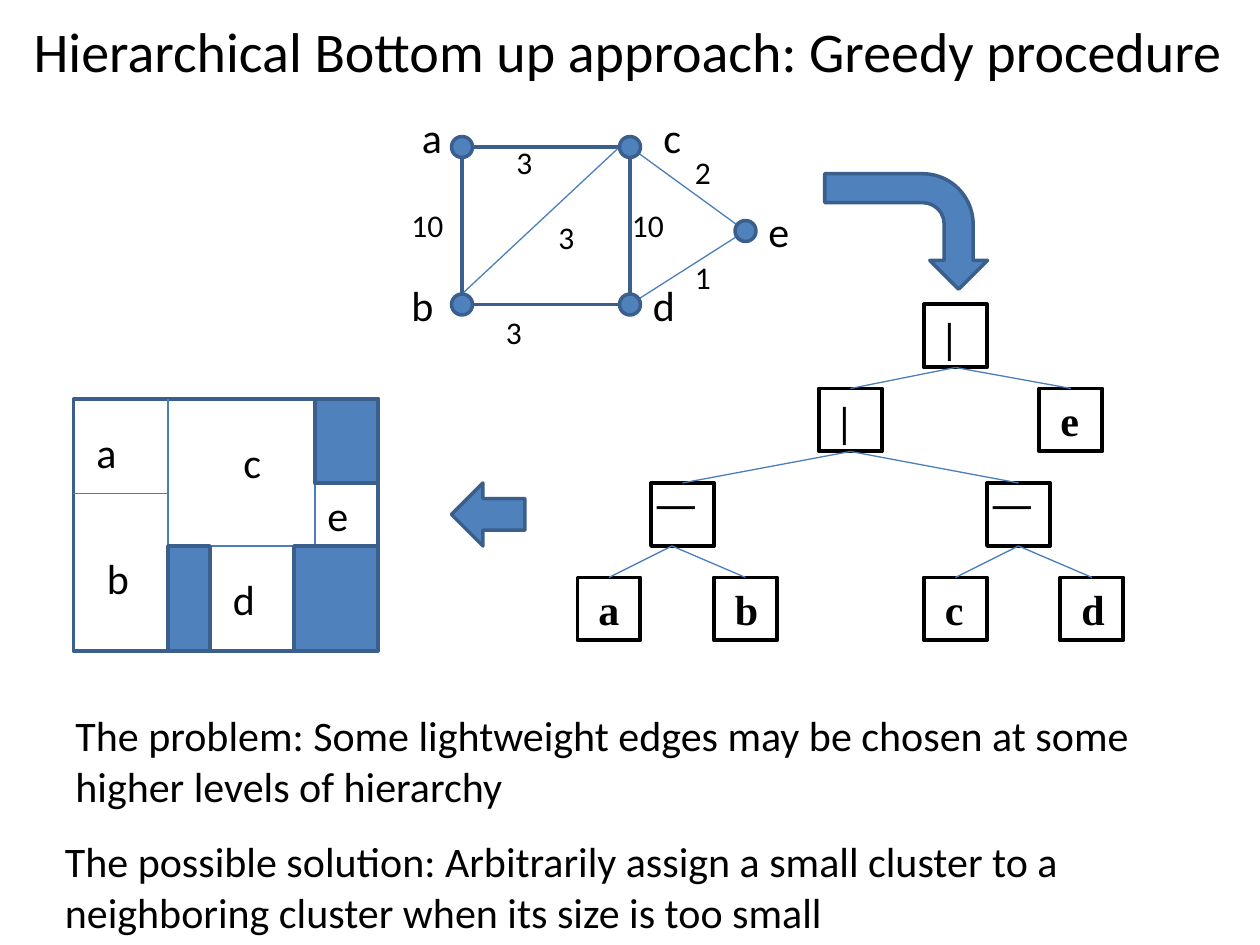
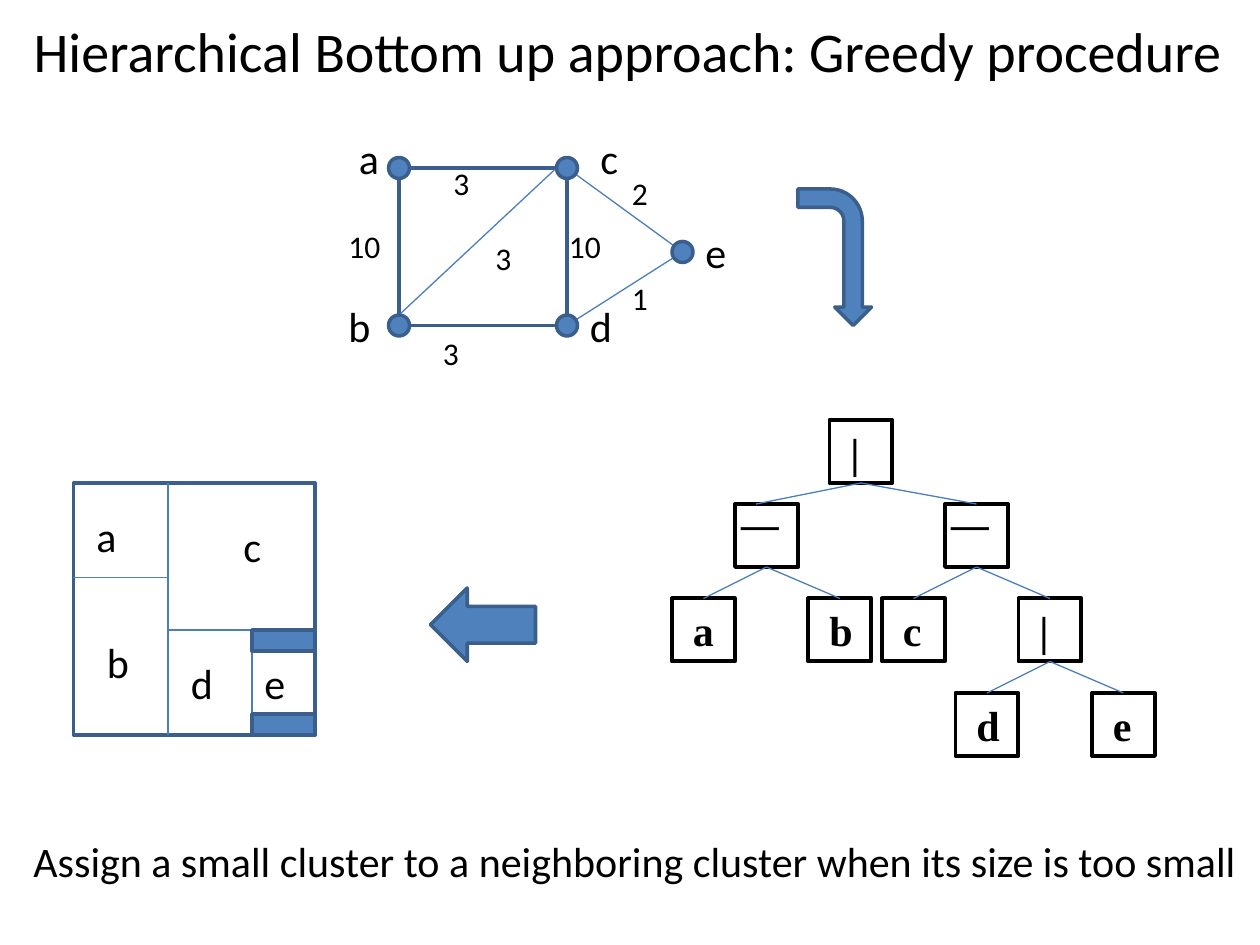
from dataclasses import dataclass

from lxml import etree
from pptx import Presentation
from pptx.dml.color import RGBColor
from pptx.enum.shapes import MSO_CONNECTOR, MSO_SHAPE
from pptx.enum.text import MSO_ANCHOR, MSO_AUTO_SIZE, PP_ALIGN
from pptx.oxml.ns import qn
from pptx.util import Cm, Pt

RECTANGLE = MSO_SHAPE.RECTANGLE
OVAL = MSO_SHAPE.OVAL
BENT_ARROW = MSO_SHAPE.BENT_ARROW
LEFT_ARROW = MSO_SHAPE.LEFT_ARROW
STRAIGHT = MSO_CONNECTOR.STRAIGHT
LEFT = PP_ALIGN.LEFT
TOP = MSO_ANCHOR.TOP
NO_AUTOFIT = MSO_AUTO_SIZE.NONE

COLORS = {"text": "000000", "fill": "4F81BD", "outline": "3A5F8C", "link": "4B7EBC"}
FORMATS = {
    "title": {"name": "Calibri", "size": Pt(32), "bold": False},
    "body": {"name": "Calibri", "size": Pt(24), "bold": False},
    "weight": {"name": "Calibri", "size": Pt(18), "bold": False},
    "tree": {"name": "Times New Roman", "size": Pt(24), "bold": True},
}

# All coordinates count grid steps, twelve to the inch.
GRID_CM = 2.54 / 12
TITLE = "Hierarchical Bottom up approach: Greedy procedure"
TITLE_BOX = (2, 1, 116, 7.7)
BOX = 6  # side of a tree box and of a letter label
VERTICAL, HORIZONTAL = "vertical cut", "horizontal cut"

# Graph parts, relative to vertex a
GRAPH_WIDTH, GRAPH_HEIGHT = 16, 15
VERTICES = [(0, 0), (16, 0), (0, 15), (16, 15), (27, 8)]
THIN_EDGES = [(16, 0, 27, 8), (27, 8, 16, 15), (0, 14, 15, 0)]
VERTEX_LABELS = [("a", -5, -4), ("c", 18, -4), ("b", -6, 12), ("d", 17, 12), ("e", 28, 5)]
EDGE_WEIGHTS = [("10", -6, 5), ("3", 8, 6.2), ("10", 15, 5), ("3", 4, -1),
                ("3", 3, 15.2), ("2", 21, 0), ("1", 21, 10)]


@dataclass
class TreeNode:
    label: str
    left: float
    top: float
    parent: int | None = None
    stem_shift: float = 0    # moves the start of the links to the children
    socket_shift: float = 0  # moves the end of the link from the parent


@dataclass
class Floorplan:
    outline: tuple
    cuts: list
    empty_areas: list
    labels: list


@dataclass
class Arrow:
    kind: MSO_SHAPE
    box: tuple
    rotation: int = 0


@dataclass
class Caption:
    text: str
    box: tuple


@dataclass
class Example:
    graph_origin: tuple
    tree: list
    floorplan: Floorplan
    arrows: list
    captions: list


EXAMPLES = [
    Example(
        graph_origin=(44, 14),
        tree=[
            TreeNode(VERTICAL, 88, 29),
            TreeNode(VERTICAL, 78, 37, 0),
            TreeNode("e", 99, 37, 0),
            TreeNode(HORIZONTAL, 62, 46, 1, stem_shift=-1),
            TreeNode(HORIZONTAL, 94, 46, 1),
            TreeNode("a", 55, 55, 3),
            TreeNode("b", 68, 55, 3),
            TreeNode("c", 88, 55, 4),
            TreeNode("d", 101, 55, 4),
        ],
        floorplan=Floorplan(
            outline=(7, 38, 29, 24),
            cuts=[(16, 38, 16, 62), (16, 52, 36, 52), (30, 38, 30, 52), (7, 47, 16, 47)],
            empty_areas=[(28, 52, 8, 10), (16, 52, 4, 10), (30, 38, 6, 8)],
            labels=[("a", 8, 40), ("c", 22, 41), ("b", 9, 52), ("d", 21, 54), ("e", 30, 46)],
        ),
        arrows=[Arrow(BENT_ARROW, (80.8, 14.3, 11, 15.5), 90),
                Arrow(LEFT_ARROW, (43, 46, 7, 6))],
        captions=[
            Caption("The problem: Some lightweight edges may be chosen at some "
                    "higher levels of hierarchy", (6, 67, 106, 11)),
            Caption("The possible solution: Arbitrarily assign a small cluster to a "
                    "neighboring cluster when its size is too small", (5, 79, 112, 11)),
        ],
    ),
    Example(
        graph_origin=(38, 16),
        tree=[
            TreeNode(VERTICAL, 79, 40),
            TreeNode(HORIZONTAL, 70, 48, 0, socket_shift=-1),
            TreeNode(HORIZONTAL, 90, 48, 0),
            TreeNode("a", 64, 57, 1),
            TreeNode("b", 77, 57, 1),
            TreeNode("c", 84, 57, 2),
            TreeNode(VERTICAL, 97, 57, 2),
            TreeNode("d", 91, 66, 6),
            TreeNode("e", 104, 66, 6),
        ],
        floorplan=Floorplan(
            outline=(7, 46, 23, 24),
            cuts=[(16, 46, 16, 70), (16, 60, 30, 60), (24, 60, 24, 70), (7, 55, 16, 55)],
            empty_areas=[(24, 60, 6, 2), (24, 68, 6, 2)],
            labels=[("a", 8, 48), ("c", 22, 49), ("b", 9, 60), ("d", 17, 62), ("e", 24, 62)],
        ),
        arrows=[Arrow(BENT_ARROW, (73, 21, 13, 7), 90),
                Arrow(LEFT_ARROW, (41, 56, 10, 7))],
        captions=[Caption("Assign a small cluster to a neighboring cluster when its "
                          "size is too small", (2, 79, 118, 6))],
    ),
]


def grid(*steps: float) -> list:
    """Turn grid steps into lengths."""
    return [Cm(step * GRID_CM) for step in steps]


def color(name: str) -> RGBColor:
    return RGBColor.from_string(COLORS[name])


def write_text(shape, text: str, style: str) -> None:
    frame = shape.text_frame
    frame.word_wrap = True
    frame.auto_size = NO_AUTOFIT
    frame.vertical_anchor = TOP
    paragraph = frame.paragraphs[0]
    paragraph.alignment = LEFT
    run = paragraph.add_run()
    run.text = text
    for attribute, value in FORMATS[style].items():
        setattr(run.font, attribute, value)
    run.font.color.rgb = color("text")


def add_title(slide) -> None:
    title = slide.shapes.title
    title.left, title.top, title.width, title.height = grid(*TITLE_BOX)
    write_text(title, TITLE, "title")


def add_label(slide, text: str, box: tuple, style: str = "body") -> None:
    write_text(slide.shapes.add_textbox(*grid(*box)), text, style)


def add_outlined(slide, kind, box: tuple, fill: str | None = None,
                 line: str = "outline", width: float = 2):
    shape = slide.shapes.add_shape(kind, *grid(*box))
    shape.shadow.inherit = False
    if fill:
        shape.fill.solid()
        shape.fill.fore_color.rgb = color(fill)
    else:
        shape.fill.background()
    shape.line.color.rgb = color(line)
    shape.line.width = Pt(width)
    return shape


def add_link(slide, ends: tuple) -> None:
    link = slide.shapes.add_connector(STRAIGHT, *grid(*ends))
    link.line.color.rgb = color("link")
    link.line.width = Pt(0.75)
    etree.SubElement(link._element.spPr, qn("a:effectLst"))


def draw_graph(slide, origin: tuple) -> None:
    x, y = origin
    add_outlined(slide, RECTANGLE, (x, y, GRAPH_WIDTH, GRAPH_HEIGHT))
    for x1, y1, x2, y2 in THIN_EDGES:
        add_link(slide, (x + x1, y + y1, x + x2, y + y2))
    for dx, dy in VERTICES:
        add_outlined(slide, OVAL, (x + dx - 1, y + dy - 1, 2, 2), "fill")
    for letter, dx, dy in VERTEX_LABELS:
        add_label(slide, letter, (x + dx, y + dy, BOX, BOX))
    for weight, dx, dy in EDGE_WEIGHTS:
        add_label(slide, weight, (x + dx, y + dy, 7, 4.8), "weight")


def draw_tree(slide, nodes: list) -> None:
    for node in nodes:
        box = add_outlined(slide, RECTANGLE, (node.left, node.top, BOX, BOX),
                           line="text", width=2.25)
        is_cut = node.label in (VERTICAL, HORIZONTAL)
        write_text(box, "|" if is_cut else node.label, "tree")
        box.text_frame.margin_left = grid(2)[0]
        box.text_frame.margin_right = 0
        if node.label == HORIZONTAL:
            box.rotation = 90
        if node.parent is not None:
            parent = nodes[node.parent]
            add_link(slide, (parent.left + BOX / 2 + parent.stem_shift, parent.top + BOX,
                             node.left + BOX / 2 + node.socket_shift, node.top))


def draw_floorplan(slide, plan: Floorplan) -> None:
    add_outlined(slide, RECTANGLE, plan.outline)
    for cut in plan.cuts:
        add_link(slide, cut)
    for area in plan.empty_areas:
        add_outlined(slide, RECTANGLE, area, "fill")
    for letter, left, top in plan.labels:
        add_label(slide, letter, (left, top, BOX, BOX))


def build_slide(presentation, example: Example) -> None:
    slide = presentation.slides.add_slide(presentation.slide_layouts[5])
    add_title(slide)
    draw_graph(slide, example.graph_origin)
    draw_tree(slide, example.tree)
    draw_floorplan(slide, example.floorplan)
    for arrow in example.arrows:
        add_outlined(slide, arrow.kind, arrow.box, "fill").rotation = arrow.rotation
    for caption in example.captions:
        add_label(slide, caption.text, caption.box)


def main() -> None:
    presentation = Presentation()
    presentation.slide_width, presentation.slide_height = grid(120, 90)
    for example in EXAMPLES:
        build_slide(presentation, example)
    presentation.save("out.pptx")


if __name__ == "__main__":
    main()
